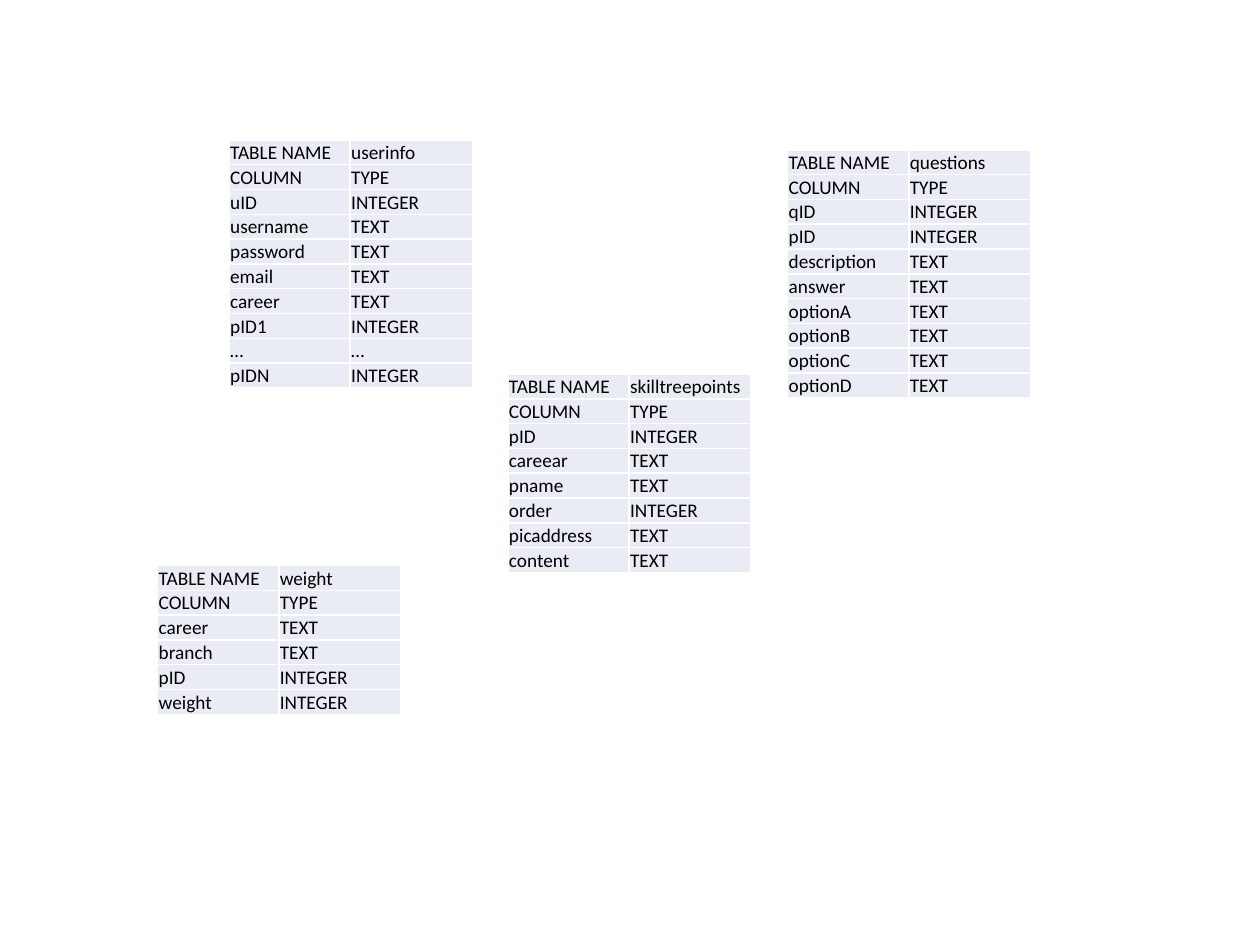
import pptx
import pptx.dml.color
import pptx.enum.text
import pptx.oxml.ns
import pptx.util
from lxml import etree

Cm = pptx.util.Cm
Pt = pptx.util.Pt

COLUMN_WIDTHS = (2.44, 2.46)
ROW_HEIGHT = 0.5

SCHEMAS = [
    ("questions", 15.88, 3.02, [
        ("qID", "INTEGER"), ("pID", "INTEGER"), ("description", "TEXT"),
        ("answer", "TEXT"), ("optionA", "TEXT"), ("optionB", "TEXT"),
        ("optionC", "TEXT"), ("optionD", "TEXT")]),
    ("userinfo", 4.62, 2.82, [
        ("uID", "INTEGER"), ("username", "TEXT"), ("password", "TEXT"),
        ("email", "TEXT"), ("career", "TEXT"), ("pID1", "INTEGER"),
        ("…", "…"), ("pIDN", "INTEGER")]),
    ("skilltreepoints", 10.24, 7.54, [
        ("pID", "INTEGER"), ("careear", "TEXT"), ("pname", "TEXT"),
        ("order", "INTEGER"), ("picaddress", "TEXT"), ("content", "TEXT")]),
    ("weight", 3.18, 11.4, [
        ("career", "TEXT"), ("branch", "TEXT"), ("pID", "INTEGER"),
        ("weight", "INTEGER")]),
]


def paint(color_format, value):
    color_format.rgb = pptx.dml.color.RGBColor.from_string(value)


def add_borders(cell, value):
    qn = pptx.oxml.ns.qn
    properties = cell._tc.get_or_add_tcPr()
    for side in ("lnL", "lnR", "lnT", "lnB"):
        border = etree.SubElement(properties, qn(f"a:{side}"), w=str(Pt(1)))
        stroke = etree.SubElement(border, qn("a:solidFill"))
        etree.SubElement(stroke, qn("a:srgbClr"), val=value)


def fill_cell(cell, text):
    add_borders(cell, "FFFFFF")
    cell.fill.solid()
    paint(cell.fill.fore_color, "E9EBF5")
    cell.vertical_anchor = pptx.enum.text.MSO_ANCHOR.MIDDLE
    cell.margin_left = cell.margin_right = cell.margin_top = Cm(0.02)
    cell.margin_bottom = 0
    run = cell.text_frame.paragraphs[0].add_run()
    run.text = text
    run.font.size = Pt(11)
    run.font.name = "Calibri"
    paint(run.font.color, "000000")


def add_schema(slide, name, left, top, fields):
    rows = [("TABLE NAME", name), ("COLUMN", "TYPE"), *fields]
    schema = slide.shapes.add_table(
        len(rows), len(COLUMN_WIDTHS), Cm(left), Cm(top),
        Cm(sum(COLUMN_WIDTHS)), Cm(ROW_HEIGHT * len(rows))).table
    schema.first_row = False
    schema.horz_banding = False
    for column, width in zip(schema.columns, COLUMN_WIDTHS):
        column.width = Cm(width)
    for row, texts in zip(schema.rows, rows):
        row.height = Cm(ROW_HEIGHT)
        for cell, text in zip(row.cells, texts):
            fill_cell(cell, text)


def main():
    deck = pptx.Presentation()
    deck.slide_width = Cm(25.4)
    deck.slide_height = Cm(19.05)
    slide = deck.slides.add_slide(deck.slide_layouts[6])
    for schema in SCHEMAS:
        add_schema(slide, *schema)
    deck.save("out.pptx")


main()
